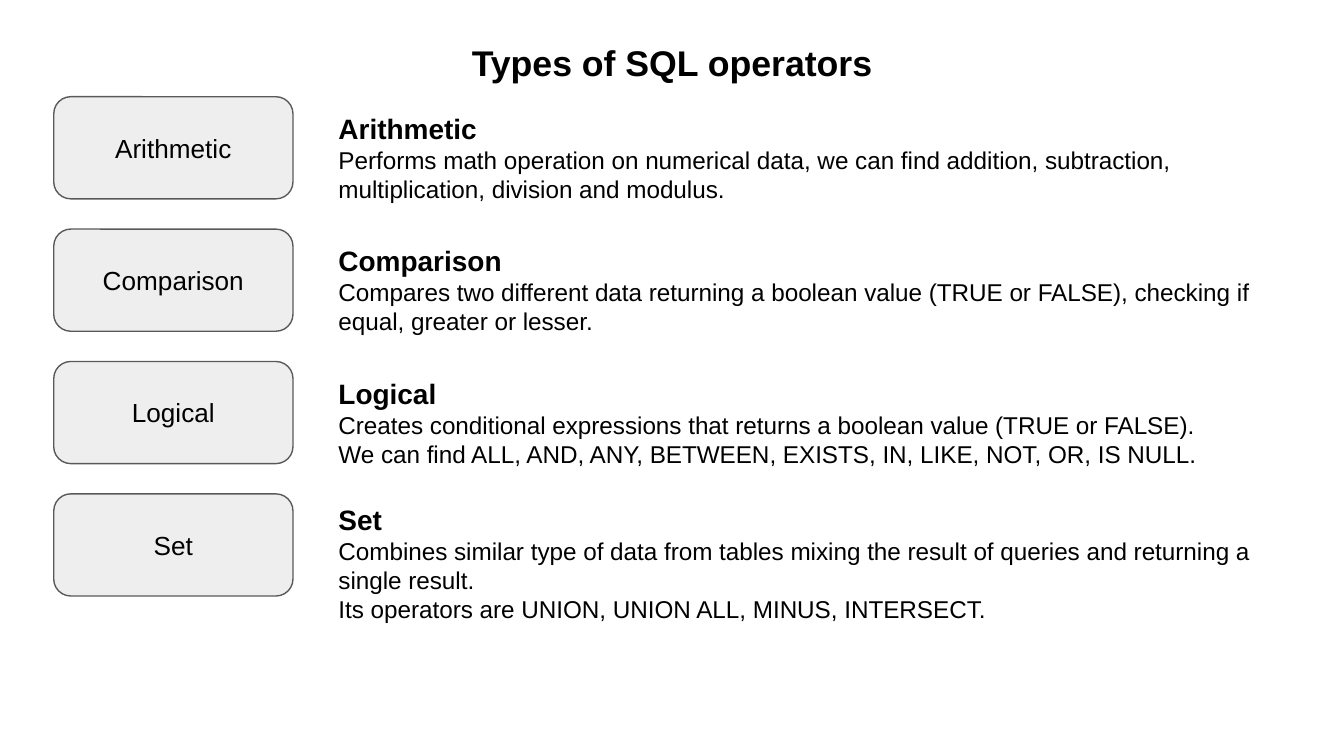
from dataclasses import dataclass

from pptx import Presentation
from pptx.dml.color import RGBColor
from pptx.enum.shapes import MSO_SHAPE
from pptx.enum.text import MSO_ANCHOR, MSO_AUTO_SIZE, PP_ALIGN
from pptx.util import Pt

ROUND = MSO_SHAPE.ROUNDED_RECTANGLE
TOP, MIDDLE, BOTTOM = MSO_ANCHOR.TOP, MSO_ANCHOR.MIDDLE, MSO_ANCHOR.BOTTOM
LEFT, CENTER = PP_ALIGN.LEFT, PP_ALIGN.CENTER
FIXED = MSO_AUTO_SIZE.NONE
PX = 4572  # 200 px to the inch


@dataclass(frozen=True)
class Theme:
    font: str = "Arial"
    ink: str = "000000"
    fill: str = "EEEEEE"
    edge: str = "595959"
    title: float = 19.1
    label: float = 14
    head: float = 15
    body: float = 13


class Deck:
    def __init__(self, theme, slide):
        self.theme = theme
        self.slide = slide

    def frame(self, shape, anchor):
        text = shape.text_frame
        text.word_wrap = True
        text.auto_size = FIXED
        text.vertical_anchor = anchor
        text.margin_left = text.margin_right = 20 * PX
        text.margin_top = text.margin_bottom = 20 * PX
        return text

    def add_words(self, para, words, size, bold=False, align=LEFT):
        para.alignment = align
        run = para.add_run()
        run.text = words
        font = run.font
        font.name = self.theme.font
        font.size = Pt(size)
        font.bold = bold
        font.color.rgb = RGBColor.from_string(self.theme.ink)

    def title(self, words, *box):
        shape = self.slide.shapes.title
        shape.left, shape.top, shape.width, shape.height = [n * PX for n in box]
        para = self.frame(shape, BOTTOM).paragraphs[0]
        para.line_spacing = 0.8
        self.add_words(para, words, self.theme.title, True, CENTER)

    def card(self, words, *box):
        shape = self.slide.shapes.add_shape(ROUND, *[n * PX for n in box])
        shape.shadow.inherit = False
        shape.fill.solid()
        shape.fill.fore_color.rgb = RGBColor.from_string(self.theme.fill)
        shape.line.color.rgb = RGBColor.from_string(self.theme.edge)
        shape.line.width = Pt(0.75)
        para = self.frame(shape, MIDDLE).paragraphs[0]
        self.add_words(para, words, self.theme.label, align=CENTER)

    def note(self, head, lines, *box):
        shape = self.slide.shapes.add_textbox(*[n * PX for n in box])
        text = self.frame(shape, TOP)
        self.add_words(text.paragraphs[0], head, self.theme.head, True)
        for line in lines:
            self.add_words(text.add_paragraph(), line, self.theme.body)


# Operator name, top of its note, lines of the note
KINDS = [
    ("Arithmetic", 146, [
        "Performs math operation on numerical data, we can find addition, "
        "subtraction, multiplication, division and modulus."]),
    ("Comparison", 342, [
        "Compares two different data returning a boolean value (TRUE or FALSE), "
        "checking if equal, greater or lesser."]),
    ("Logical", 540, [
        "Creates conditional expressions that returns a boolean value (TRUE or FALSE).",
        "We can find ALL, AND, ANY, BETWEEN, EXISTS, IN, LIKE, NOT, OR, IS NULL."]),
    ("Set", 728, [
        "Combines similar type of data from tables mixing the result of queries "
        "and returning a single result.",
        "Its operators are UNION, UNION ALL, MINUS, INTERSECT."]),
]
FIRST, STEP, HIGH = 144, 197, 152


def main():
    prs = Presentation()
    prs.slide_width, prs.slide_height = 2000 * PX, 1125 * PX
    deck = Deck(Theme(), prs.slides.add_slide(prs.slide_layouts[5]))

    # Title
    deck.title("Types of SQL operators", 68, 50, 1864, 94)

    # Cards down the left
    for row, (name, _, _) in enumerate(KINDS):
        deck.card(name, 80, FIRST + row * STEP, 356, HIGH)

    # Notes on the right
    for name, top, lines in KINDS:
        deck.note(name, lines, 484, top, 1448, HIGH)

    prs.save("out.pptx")


if __name__ == "__main__":
    main()
